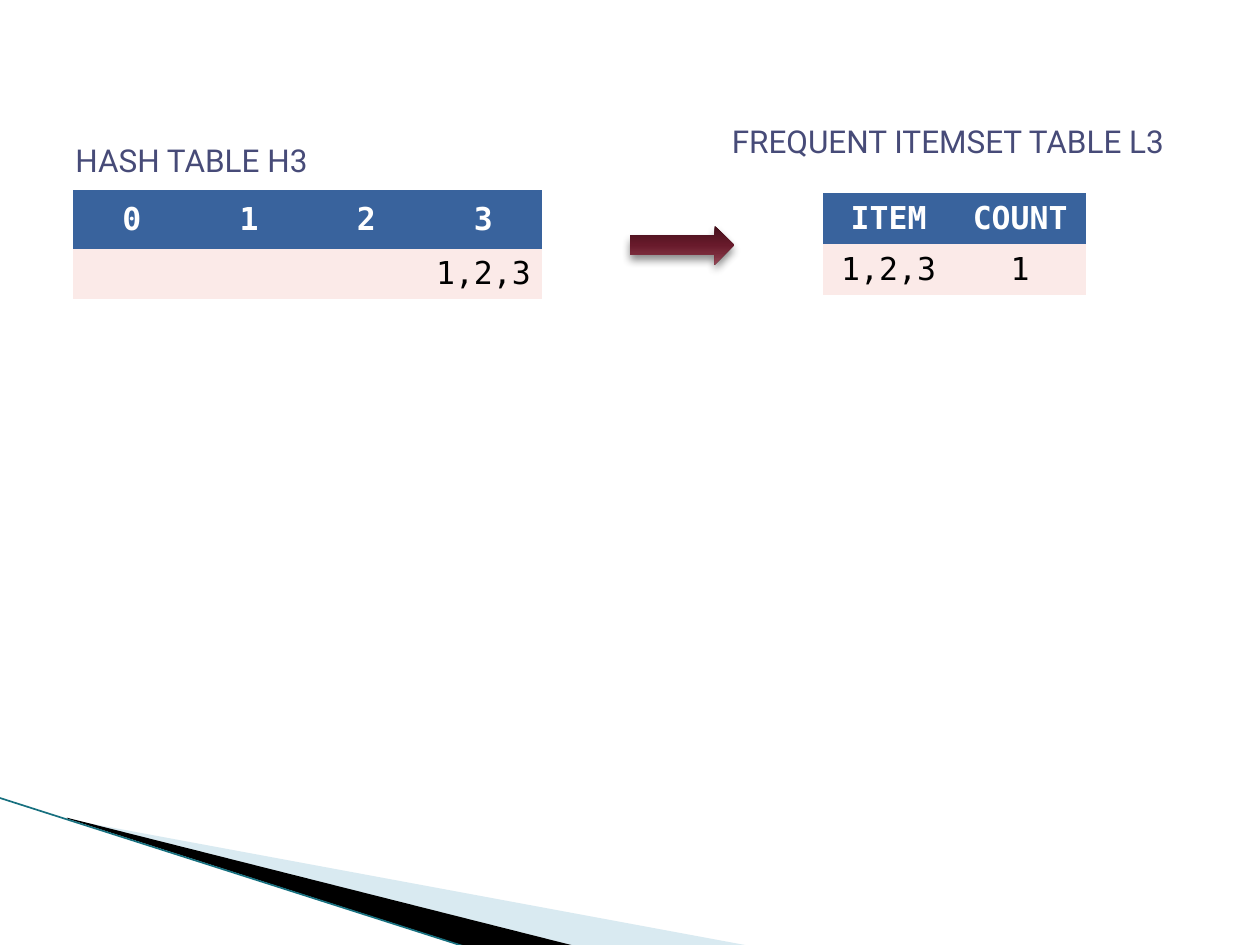
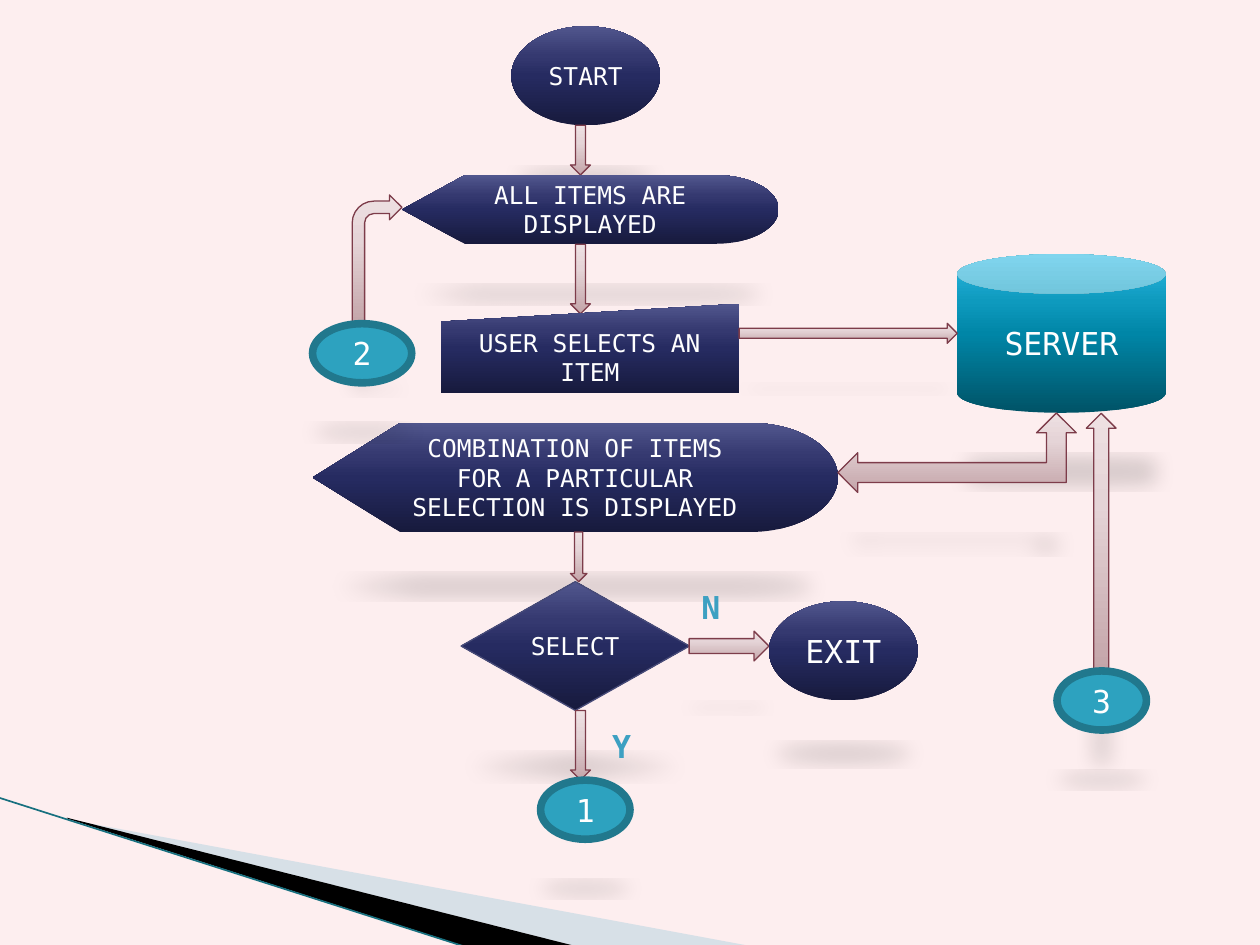
import pptx
import pptx.util
import pptx.dml.color
import pptx.enum.shapes
import pptx.enum.text
import pptx.oxml.ns
import lxml.etree

Pt = pptx.util.Pt
SHAPE = pptx.enum.shapes.MSO_SHAPE
CENTER = pptx.enum.text.PP_ALIGN.CENTER
MIDDLE = pptx.enum.text.MSO_ANCHOR.MIDDLE
qn = pptx.oxml.ns.qn

MONO, SANS = "DejaVu Sans Mono", "Roboto"
WHITE, BLACK, BLUSH = "FFFFFF", "000000", "FDEEEF"
HEADER, ROW, LABEL, BRANCH = "39639D", "FBEAE8", "474B78", "3DA0C2"
PALE, EDGE = "A0CBDC", "17707F"
TEAL, TEAL_RIM, ROSE_RIM = "2DA2BF", "21788D", "7D3C4A"
NO_TABLE_STYLE = "{2D5ABB26-0587-4C30-8999-92F81FD0307C}"

# Gradients: (position in percent, colour), from the bottom up
NAVY = [(0, "171A3D"), (50, "262B61"), (70, "353970"), (100, "51568D")]
ROSE = [(0, "C4A5A9"), (65, "E5D4D7"), (100, "EEE0E2")]
CYAN = [(0, "005367"), (50, "0086A7"), (70, "0E9ABE"), (100, "2CB9E3")]
WINE = [(0, "420F1A"), (50, "681A2B"), (70, "772939"), (100, "944755")]

# Shadows: opacity, blur, distance, extra attributes
NEAR = (45, 5, 3, {})
FLOOR = (15, 12, 25, {"sx": "90000", "sy": "-19000"})


def rgb(color):
    return pptx.dml.color.RGBColor.from_string(color)


def add(parent, tag, **attrs):
    return lxml.etree.SubElement(parent, qn(tag), attrs)


def add_color(parent, color, alpha=100):
    clr = add(parent, "a:srgbClr", val=color)
    if alpha < 100:
        add(clr, "a:alpha", val=str(alpha * 1000))


class Deck:
    def __init__(self):
        self.prs = pptx.Presentation()
        self.prs.slide_width, self.prs.slide_height = Pt(720), Pt(540)
        self.s = None

    def new_slide(self, background):
        self.s = self.prs.slides.add_slide(self.prs.slide_layouts[6])
        fill = self.s.background.fill
        fill.solid()
        fill.fore_color.rgb = rgb(background)
        # Corner wedges and the line along them
        self.wedge([(39.6, 468.4), (428.4, 540.5), (328.3, 540.5), (39.6, 468)], PALE, 40)
        self.wedge([(38.2, 467.3), (329, 540.7), (267.8, 541.4), (38.9, 468)], BLACK)
        cn = self.s.shapes.add_connector(
            pptx.enum.shapes.MSO_CONNECTOR.STRAIGHT,
            Pt(-0.7), Pt(455.8), Pt(267.1), Pt(541.4))
        cn.line.color.rgb = rgb(EDGE)
        cn.line.width = Pt(0.95)
        add(cn._element.spPr, "a:effectLst")

    def wedge(self, points, color, alpha=100):
        pts = [(Pt(x), Pt(y)) for x, y in points]
        fb = self.s.shapes.build_freeform(*pts[0])
        fb.add_line_segments(pts[1:])
        sp = fb.convert_to_shape()
        sp.shadow.inherit = False
        sp.line.fill.background()
        sp.fill.solid()
        sp.fill.fore_color.rgb = rgb(color)
        if alpha < 100:
            solid = sp._element.spPr.find(qn("a:solidFill"))
            solid.clear()
            add_color(solid, color, alpha)

    def font(self, p, size, color, name=MONO, bold=False):
        p.font.name, p.font.size, p.font.bold = name, Pt(size), bold
        p.font.color.rgb = rgb(color)

    def shape(self, kind, box, fill, line=None, width=0.75, text="", size=14,
              shadow=FLOOR, angle=90):
        sp = self.s.shapes.add_shape(kind, *map(Pt, box))
        if isinstance(fill, list):
            sp.fill.gradient()
            sp.fill.gradient_angle = angle
            stops = sp._element.spPr.find(qn("a:gradFill")).find(qn("a:gsLst"))
            stops.clear()
            for pos, color in fill:
                add_color(add(stops, "a:gs", pos=str(pos * 1000)), color)
        else:
            sp.fill.solid()
            sp.fill.fore_color.rgb = rgb(fill)
        if line:
            sp.line.color.rgb = rgb(line)
            sp.line.width = Pt(width)
        else:
            sp.line.fill.background()
        self.shadow(sp, *shadow)
        if text:
            tf = sp.text_frame
            tf.word_wrap, tf.vertical_anchor = True, MIDDLE
            p = tf.paragraphs[0]
            p.text, p.alignment = text, CENTER
            self.font(p, size, WHITE)

    def shadow(self, sp, alpha, blur, dist, scale):
        sp.shadow.inherit = False
        effects = sp._element.spPr.find(qn("a:effectLst"))
        outer = add(effects, "a:outerShdw", blurRad=str(Pt(blur)), dist=str(Pt(dist)),
                    dir="5400000", rotWithShape="0", **scale)
        add_color(outer, BLACK, alpha)

    def step(self, kind, box, text, size=14, fill=NAVY, line=None):
        self.shape(kind, box, fill, line, text=text, size=size)

    def arrow(self, kind, *box):
        self.shape(kind, box, ROSE, ROSE_RIM)

    def link_point(self, text, x, y, w=51.1):
        self.shape(SHAPE.OVAL, (x, y, w, 33.8), TEAL, TEAL_RIM, 4.33, text, 18)

    def label(self, text, box, color, name=MONO, bold=False):
        tf = self.s.shapes.add_textbox(*map(Pt, box)).text_frame
        tf.word_wrap = True
        p = tf.paragraphs[0]
        p.text = text
        self.font(p, 18, color, name, bold)

    def table(self, rows, x, y, col_width, heights):
        cols = len(rows[0])
        tbl = self.s.shapes.add_table(len(rows), cols, Pt(x), Pt(y),
                                      Pt(col_width * cols), Pt(sum(heights))).table
        tbl.horz_banding = False
        tbl._tbl.tblPr.find(qn("a:tableStyleId")).text = NO_TABLE_STYLE
        for col in tbl.columns:
            col.width = Pt(col_width)
        for i, (values, height) in enumerate(zip(rows, heights)):
            tbl.rows[i].height = Pt(height)
            for j, value in enumerate(values):
                cell = tbl.cell(i, j)
                cell.fill.solid()
                cell.fill.fore_color.rgb = rgb(ROW if i else HEADER)
                cell.vertical_anchor = MIDDLE
                cell.margin_left = cell.margin_right = Pt(5)
                p = cell.text_frame.paragraphs[0]
                p.text, p.alignment = value, CENTER
                self.font(p, 18, BLACK if i else WHITE, bold=not i)


def itemset_slide(d):
    d.new_slide(WHITE)
    d.table([["0", "1", "2", "3"], ["", "", "", "1,2,3"]], 41.8, 108.6, 67, (33.5, 28.8))
    d.table([["ITEM", "COUNT"], ["1,2,3", "1"]], 470.2, 110.2, 75.2, (29.1, 29.1))
    d.label("FREQUENT ITEMSET TABLE L3", (411.1, 66.2, 266.4, 28.8), LABEL, SANS)
    d.label("HASH TABLE H3", (36, 77, 205.2, 28.8), LABEL, SANS)
    d.shape(SHAPE.RIGHT_ARROW, (360, 128.9, 59.5, 22.3), WINE, shadow=NEAR, angle=270)


def flowchart_slide(d):
    d.new_slide(BLUSH)
    # Main flow
    d.step(SHAPE.OVAL, (292.2, 15, 85, 56.7), "START")
    d.arrow(SHAPE.DOWN_ARROW, 326, 71.6, 11.4, 28.4)
    d.step(SHAPE.FLOWCHART_DISPLAY, (229.7, 100.1, 215.3, 39.2), "ALL ITEMS ARE DISPLAYED")
    d.arrow(SHAPE.DOWN_ARROW, 326, 139.6, 11.4, 39.7)
    d.step(SHAPE.FLOWCHART_MANUAL_INPUT, (252, 173.6, 170.2, 51), "USER SELECTS AN ITEM")
    d.step(SHAPE.FLOWCHART_DISPLAY, (178.6, 241.7, 300.2, 62.3),
           "COMBINATION OF ITEMS FOR A PARTICULAR SELECTION IS DISPLAYED")
    d.arrow(SHAPE.DOWN_ARROW, 326, 304, 9.4, 28.4)
    d.step(SHAPE.DIAMOND, (263.5, 332.4, 130.5, 73.6), "SELECT", line=LABEL)
    d.arrow(SHAPE.DOWN_ARROW, 326, 406, 11.4, 39.7)
    d.link_point("1", 308.9, 445.8)
    # Server and its links
    d.step(SHAPE.CAN, (547, 145.2, 119.1, 90.7), "SERVER", 18, CYAN)
    d.arrow(SHAPE.RIGHT_ARROW, 422.4, 184.8, 124.6, 11.4)
    d.arrow(SHAPE.LEFT_UP_ARROW, 478.8, 236, 136.2, 45.4)
    # Exit and branch labels
    d.arrow(SHAPE.RIGHT_ARROW, 393.8, 360.7, 45.6, 17)
    d.step(SHAPE.OVAL, (439.4, 343.6, 85, 56.7), "EXIT", 18)
    d.label("N", (393.8, 332.6, 28.4, 28.8), BRANCH, bold=True)
    d.label("Y", (342.7, 411.8, 28.4, 28.8), BRANCH, bold=True)
    # Entries from the other parts of the chart
    d.arrow(SHAPE.UP_ARROW, 620.8, 236.2, 17, 147.4)
    d.link_point("3", 604, 383.4)
    d.arrow(SHAPE.BENT_ARROW, 201.3, 111.4, 28.4, 73.6)
    d.link_point("2", 178.6, 185, 56.7)


def main():
    d = Deck()
    itemset_slide(d)
    flowchart_slide(d)
    d.prs.save("out.pptx")


if __name__ == "__main__":
    main()
